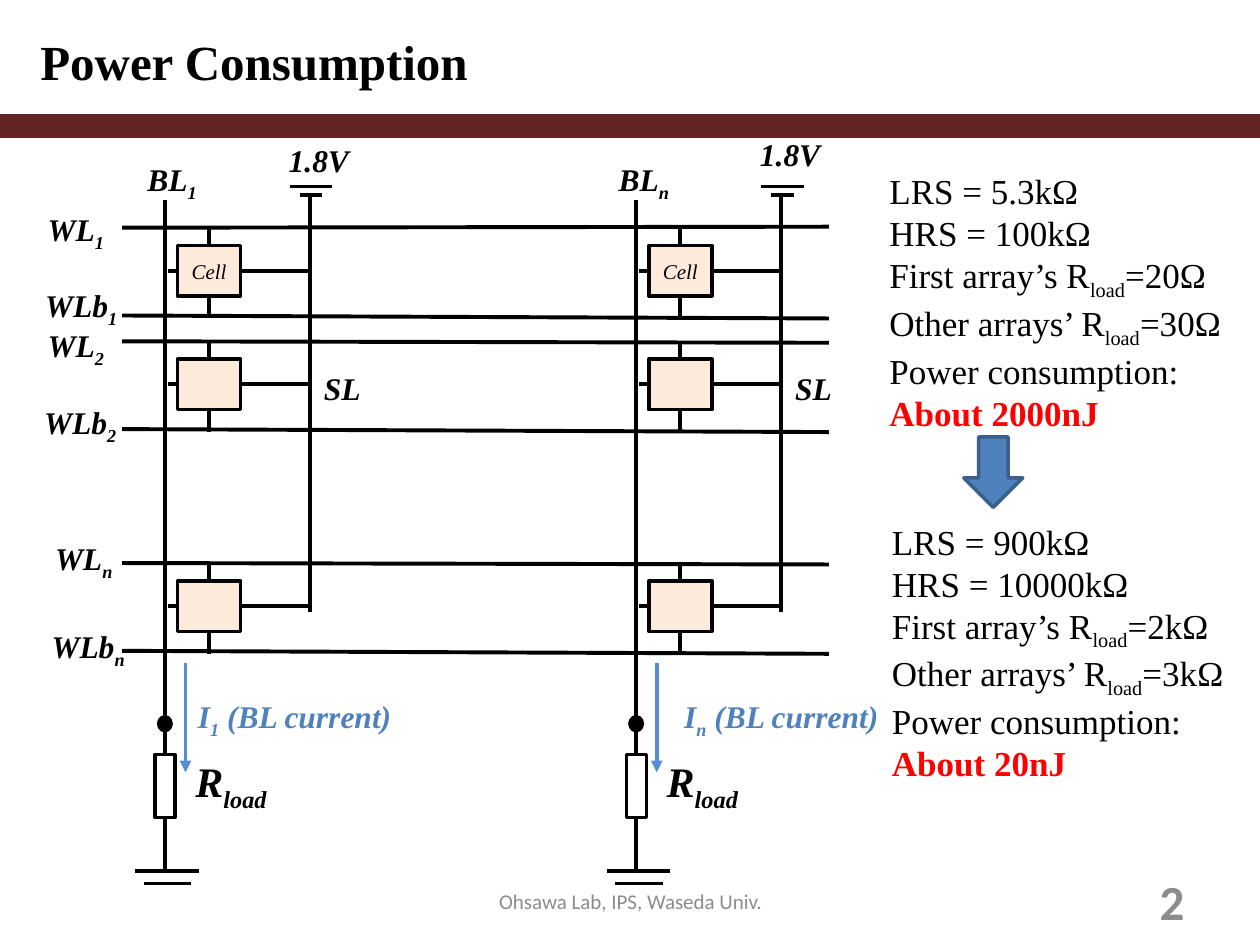
from pptx import Presentation
from pptx.dml.color import RGBColor
from pptx.enum.shapes import MSO_CONNECTOR, MSO_SHAPE
from pptx.enum.text import MSO_ANCHOR, MSO_AUTO_SIZE, PP_ALIGN
from pptx.oxml.ns import qn
from pptx.util import Cm, Pt
from lxml.etree import SubElement

SERIF = "Times New Roman"
BLACK, BLUE, GREY, RED = "000000", "4F81BD", "8C8C8C", "FF0000"
TITLE = {"name": SERIF, "size": Pt(28), "bold": True}
LABEL = {"name": SERIF, "size": Pt(18), "bold": True, "italic": True}
LOAD = {**LABEL, "size": Pt(24)}
CELL = {"name": SERIF, "size": Pt(12), "italic": True}
BODY = {"name": SERIF, "size": Pt(20)}
RESULT = {**BODY, "bold": True}
FOOTER = {"name": "Calibri", "size": Pt(12)}
NUMBER = {"name": "Calibri", "size": Pt(28), "bold": True}

LINE_LEFT, LINE_RIGHT = 2.46, 16.71
SOURCE_OFFSET = 2.91
ROWS = [
    {"index": "1", "top": 4.59, "slope": -0.02, "text": "Cell",
     "word": (0.71, 4.11), "bar": (0.66, 5.64)},
    {"index": "2", "top": 6.88, "slope": 0.03, "text": "",
     "word": (0.71, 6.45), "bar": (0.64, 8)},
    {"index": "n", "top": 11.35, "slope": 0.03, "text": "",
     "word": (0.86, 10.74), "bar": (0.79, 12.52)},
]
COLUMNS = [
    {"index": "1", "x": 3.33, "supply_top": 2.72, "current": (0.41, 6.15)},
    {"index": "n", "x": 12.83, "supply_top": 2.59, "current": (0.71, 4.5)},
]


def color(value):
    """Return the colour for a hex string."""
    return RGBColor.from_string(value)


def write(paragraph, text, style, ink=BLACK):
    """Fill a paragraph, lowering every second part split off by a bar."""
    for position, part in enumerate(text.split("|")):
        if not part:
            continue
        run = paragraph.add_run()
        run.text = part
        for name, value in style.items():
            setattr(run.font, name, value)
        run.font.color.rgb = color(ink)
        if position % 2:
            run.font._element.set("baseline", "-25000")


def add_text(slide, box, lines, align=PP_ALIGN.LEFT, anchor=MSO_ANCHOR.TOP, wrap=True):
    """Add a text box holding one paragraph per line."""
    shape = slide.shapes.add_textbox(*map(Cm, box))
    frame = shape.text_frame
    settings = {"word_wrap": wrap, "vertical_anchor": anchor,
                "auto_size": MSO_AUTO_SIZE.SHAPE_TO_FIT_TEXT
                if anchor == MSO_ANCHOR.TOP else MSO_AUTO_SIZE.NONE}
    for name, value in settings.items():
        setattr(frame, name, value)
    for position, line in enumerate(lines):
        paragraph = frame.add_paragraph() if position else frame.paragraphs[0]
        paragraph.alignment = align
        write(paragraph, *line)


def add_label(slide, left, top, text, width=3.07):
    """Add a bold italic circuit label."""
    add_text(slide, (left, top, width, 1.02), [(text, LABEL)])


def add_box(slide, kind, box, fill, outline=BLACK):
    """Add a filled and outlined preset shape."""
    shape = slide.shapes.add_shape(kind, *map(Cm, box))
    shape.shadow.inherit = False
    shape.fill.solid()
    shape.fill.fore_color.rgb = color(fill)
    shape.line.color.rgb = color(outline)
    shape.line.width = Pt(2)
    return shape


def add_wire(slide, start, end, ink=BLACK, begin=None, finish=None, arrow=False):
    """Add a straight wire, joined to shapes where they are given."""
    wire = slide.shapes.add_connector(MSO_CONNECTOR.STRAIGHT, *map(Cm, start + end))
    wire.line.color.rgb = color(ink)
    wire.line.width = Pt(2.25)
    if arrow:
        SubElement(wire.line._get_or_add_ln(), qn("a:tailEnd"), type="triangle")
    SubElement(wire._element.spPr, qn("a:effectLst"))
    if begin:
        wire.begin_connect(*begin)
    if finish:
        wire.end_connect(*finish)


def add_bar(slide, x, left, right, y):
    """Add a horizontal plate of a supply or ground symbol."""
    add_wire(slide, (x + left, y), (x + right, y))


def add_word_lines(slide, row):
    """Add the word line pair of a row with its labels."""
    top = row["top"]
    add_wire(slide, (LINE_LEFT, top), (LINE_RIGHT, top + row["slope"]))
    add_wire(slide, (LINE_LEFT, top + 1.77), (LINE_RIGHT, top + 1.83))
    add_label(slide, *row["word"], f"WL|{row['index']}")
    add_label(slide, *row["bar"], f"WLb|{row['index']}")


def add_cell(slide, x, row):
    """Add a memory cell and its four wires."""
    top = row["top"]
    cell = add_box(slide, MSO_SHAPE.RECTANGLE, (x + 0.25, top + 0.36, 1.27, 1.02), "FDEADA")
    if row["text"]:
        cell.text_frame.vertical_anchor = MSO_ANCHOR.MIDDLE
        paragraph = cell.text_frame.paragraphs[0]
        paragraph.alignment = PP_ALIGN.CENTER
        write(paragraph, row["text"], CELL)
    center, middle = x + 0.885, top + 0.87
    add_wire(slide, (center, top), (center, top + 0.36), finish=(cell, 0))
    add_wire(slide, (x + 0.06, middle), (x + 0.25, middle), finish=(cell, 1))
    add_wire(slide, (center, top + 1.38), (center, top + 1.83), begin=(cell, 2))
    add_wire(slide, (x + 1.52, middle), (x + SOURCE_OFFSET, middle), begin=(cell, 3))


def add_column(slide, column):
    """Add a bit line with its load, source line, cells and labels."""
    x, index = column["x"], column["index"]
    source = x + SOURCE_OFFSET
    load = add_box(slide, MSO_SHAPE.RECTANGLE, (x - 0.2, 15.21, 0.4, 1.27), "FFFFFF")
    add_wire(slide, (x, 4.04), (x, 15.21), finish=(load, 0))
    add_wire(slide, (x, 16.48), (x, 17.55), begin=(load, 2))
    add_bar(slide, x, -0.6, 0.68, 17.55)
    add_bar(slide, x, -0.43, 0.53, 17.81)
    add_wire(slide, (source, 3.89), (source, 12.34))
    add_bar(slide, source, -0.4, 0.46, 3.76)
    add_bar(slide, source, -0.19, 0.26, 3.94)
    for row in ROWS:
        add_cell(slide, x, row)
    add_box(slide, MSO_SHAPE.OVAL, (x - 0.13, 14.45, 0.25, 0.28), BLACK)
    add_wire(slide, (x + 0.41, 13.36), (x + 0.41, 15.57), "558ED5", arrow=True)
    add_label(slide, x - 0.61, 3.1, f"BL|{index}", 1.55)
    add_label(slide, x + 2.95, 7.32, "SL", 1.55)
    add_label(slide, x + 2.24, column["supply_top"], "1.8V", 2.11)
    add_text(slide, (x + 0.36, 15.11, 2.57, 1.27), [("R|load|", LOAD)])
    offset, width = column["current"]
    add_text(slide, (x + offset, 13.92, width, 1.02),
             [(f"I|{index}| (BL current)", LABEL, BLUE)], wrap=False)


def add_summary(slide, left, top, low, high, first, other, power):
    """Add the resistance values and the resulting power."""
    lines = [f"LRS = {low}kΩ", f"HRS = {high}kΩ", f"First array’s R|load|={first}Ω",
             f"Other arrays’ R|load|={other}Ω", "Power consumption:"]
    add_text(slide, (left, top, 7.9, 5.38),
             [(line, BODY) for line in lines] + [(f"About {power}nJ", RESULT, RED)])


def set_title(slide, text):
    """Place and format the title placeholder."""
    title = slide.shapes.title
    box = {"left": 0.56, "top": 0.46, "width": 11.2, "height": 1.42}
    for name, value in box.items():
        setattr(title, name, Cm(value))
    title.text_frame.vertical_anchor = MSO_ANCHOR.TOP
    title.text_frame.auto_size = MSO_AUTO_SIZE.NONE
    paragraph = title.text_frame.paragraphs[0]
    paragraph.alignment = PP_ALIGN.LEFT
    paragraph.line_spacing = Pt(34.8)
    write(paragraph, text, TITLE)


def main():
    """Build the slide and save it."""
    presentation = Presentation()
    presentation.slide_width, presentation.slide_height = Cm(25.4), Cm(19.05)
    slide = presentation.slides.add_slide(presentation.slide_layouts[5])
    set_title(slide, "Power Consumption")
    add_box(slide, MSO_SHAPE.RECTANGLE, (0, 2.34, 25.4, 0.41), "632523", "632523")
    for row in ROWS:
        add_word_lines(slide, row)
    for column in COLUMNS:
        add_column(slide, column)
    add_summary(slide, 17.68, 3.3, "5.3", "100", "20", "30", "2000")
    add_box(slide, MSO_SHAPE.DOWN_ARROW, (19.43, 8.81, 1.19, 1.42), BLUE, "3A5F8C")
    add_summary(slide, 17.73, 10.36, "900", "10000", "2k", "3k", "20")
    add_text(slide, (8.69, 17.65, 8.05, 1.02), [("Ohsawa Lab, IPS, Waseda Univ.", FOOTER, GREY)],
             PP_ALIGN.CENTER, MSO_ANCHOR.MIDDLE)
    add_text(slide, (18.21, 17.65, 5.92, 1.02), [("2", NUMBER, GREY)],
             PP_ALIGN.RIGHT, MSO_ANCHOR.MIDDLE)
    presentation.save("out.pptx")


if __name__ == "__main__":
    main()
